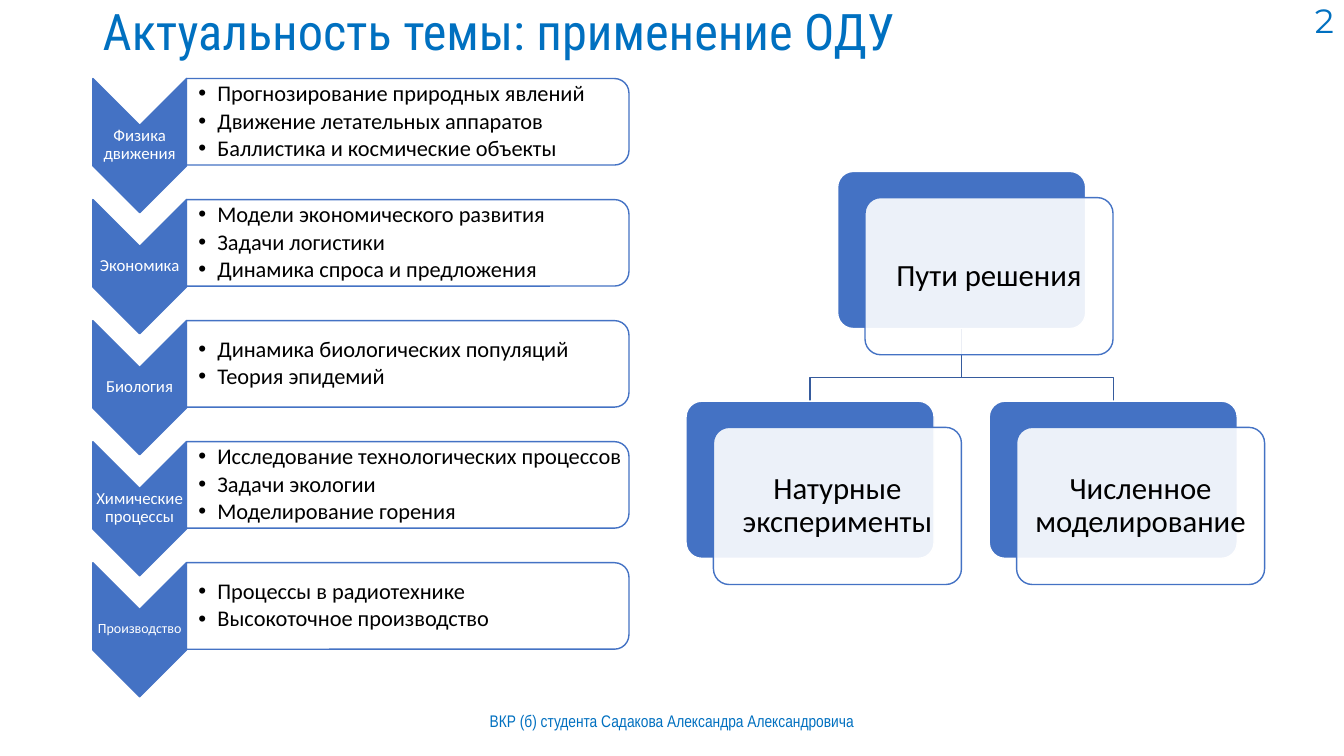
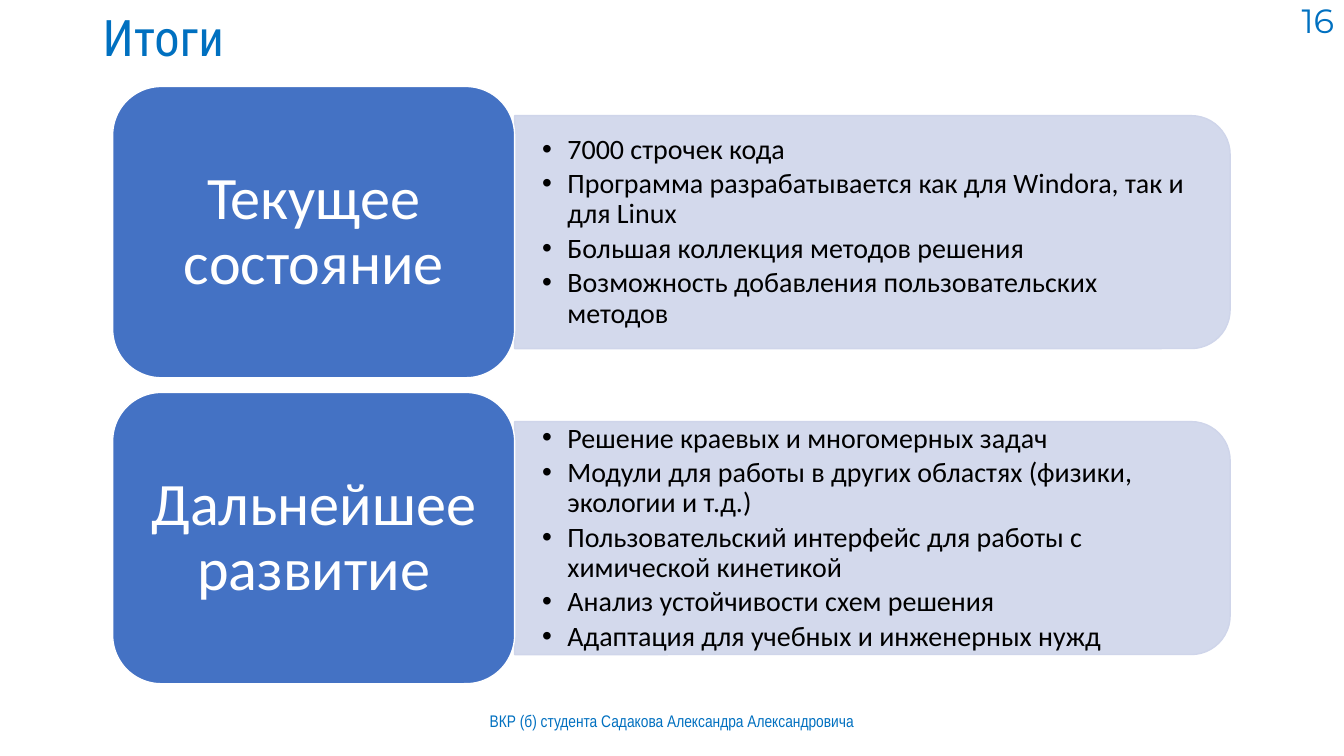
from lxml import etree
from pptx import Presentation
from pptx.dml.color import RGBColor
from pptx.enum import shapes, text
from pptx.oxml.ns import qn
from pptx.util import Cm, Pt

# Shared look
INK = RGBColor(0x00, 0x70, 0xC0)
BLUE = RGBColor(0x44, 0x72, 0xC4)
NAVY = RGBColor(0x36, 0x5B, 0x9D)
PALE = RGBColor(0xCF, 0xD5, 0xEA)
WHITE = RGBColor(0xFF, 0xFF, 0xFF)
BLACK = RGBColor(0x00, 0x00, 0x00)
BODY, HEAD, NUM, FOOT = "Calibri", "Roboto Condensed", "Montserrat", "Arial Narrow"
KIND = shapes.MSO_SHAPE
LEFT, MID, RIGHT = text.PP_ALIGN.LEFT, text.PP_ALIGN.CENTER, text.PP_ALIGN.RIGHT

# Content
FOOTER = "ВКР (б) студента Садакова Александра Александровича"
FIELDS = [
    ("Физика движения", 12, ["Прогнозирование природных явлений",
                             "Движение летательных аппаратов",
                             "Баллистика и космические объекты"]),
    ("Экономика", 12, ["Модели экономического развития",
                       "Задачи логистики",
                       "Динамика спроса и предложения"]),
    ("Биология", 12, ["Динамика биологических популяций",
                      "Теория эпидемий"]),
    ("Химические процессы", 12, ["Исследование технологических процессов",
                                 "Задачи экологии",
                                 "Моделирование горения"]),
    ("Производство", 10, ["Процессы в радиотехнике",
                          "Высокоточное производство"]),
]
ROOT = "Пути решения"
LEAVES = ["Натурные эксперименты", "Численное моделирование"]
RESULTS = [
    ("Текущее состояние", [
        "7000 строчек кода",
        "Программа разрабатывается как для Windora, так и для Linux",
        "Большая коллекция методов решения",
        "Возможность добавления пользовательских методов"]),
    ("Дальнейшее развитие", [
        "Решение краевых и многомерных задач",
        "Модули для работы в других областях (физики, экологии и т.д.)",
        "Пользовательский интерфейс для работы с химической кинетикой",
        "Анализ устойчивости схем решения",
        "Адаптация для учебных и инженерных нужд"]),
]


def write(shape, lines, size, color, font=BODY, align=MID, pad=(0.25, 0.13),
          lead=0.9, dent=None):
    """Fill a shape with paragraphs; dent (cm) turns them into bullets."""
    frame = shape.text_frame
    frame.word_wrap = True
    frame.vertical_anchor = text.MSO_ANCHOR.MIDDLE
    frame.margin_left, frame.margin_right = Cm(pad[0]), Cm(pad[-2])
    frame.margin_top = frame.margin_bottom = Cm(pad[-1])
    frame.text = "\n".join(lines)
    for para in frame.paragraphs:
        para.alignment, para.line_spacing = align, lead
        if dent:
            para.space_after = Pt(size * 0.15)
            props = para._p.get_or_add_pPr()
            props.set("marL", str(Cm(dent)))
            props.set("indent", str(-Cm(dent)))
            etree.SubElement(props, qn("a:buFont")).set("typeface", "Arial")
            etree.SubElement(props, qn("a:buChar")).set("char", "•")
        para.font.size, para.font.name = Pt(size), font
        para.font.color.rgb = color


def label(slide, box, lines, size, color, **style):
    area = slide.shapes.add_textbox(*map(Cm, box))
    write(area, lines, size, color, **style)


def block(slide, kind, box, fill, line, alpha=None, turn=False):
    """Draw a shape in its visible box; turn rotates it a quarter."""
    x, y, w, h = box
    if turn:
        x, y, w, h = x + (w - h) / 2, y + (h - w) / 2, h, w
    shape = slide.shapes.add_shape(kind, Cm(x), Cm(y), Cm(w), Cm(h))
    shape.rotation = 90 if turn else 0
    shape.shadow.inherit = False
    shape.fill.solid()
    shape.fill.fore_color.rgb = fill
    if alpha:
        tint = next(shape.element.spPr.iter(qn("a:srgbClr")))
        etree.SubElement(tint, qn("a:alpha")).set("val", str(alpha * 1000))
    shape.line.color.rgb = line
    shape.line.width = Pt(1)
    return shape


def start(deck, title, num, top, high):
    """Add a slide with title, footer and number."""
    slide = deck.slides.add_slide(deck.slide_layouts[6])
    label(slide, (2.34, top, 29.21, high), [title], 36, INK, font=HEAD, align=LEFT)
    label(slide, (11.22, 17.65, 11.43, 1.02), [FOOTER], 12, INK, font=FOOT, lead=1)
    label(slide, (26.25, 0, 7.62, 1.02), [num], 24, INK, font=NUM, align=RIGHT, lead=1)
    return slide


def fields(slide):
    x, top, step, wide, body = 2.34, 1.98, 3.05, 2.36, 11.15
    for i, (name, size, items) in enumerate(FIELDS):
        y = top + i * step
        block(slide, KIND.CHEVRON, (x, y, wide, 3.38), BLUE, BLUE, turn=True)
        label(slide, (x, y + 1.17, wide, 1.02), [name], size, WHITE, pad=(0.03, 0.03))
        block(slide, KIND.ROUND_2_SAME_RECTANGLE, (x + wide, y, body, 2.18),
              WHITE, BLUE, alpha=90, turn=True)
        label(slide, (x + wide, y + 0.1, body - 0.1, 1.98), items, 16, BLACK,
              align=LEFT, pad=(0.3, 0.03, 0.03), dent=0.48)


def tree(slide):
    w, h, x, y, low, side = 6.25, 3.96, 21.11, 4.32, 10.11, 3.82
    spots = [(x - side, low), (x + side, low)]
    # Branches
    mid, base, bend = x + w / 2 + 0.0, y + h, 9.52
    mid += 0.0 if not spots else 0.0
    for left, top in spots:
        end = left + w / 2
        pen = slide.shapes.build_freeform(Cm(mid), Cm(base))
        pen.add_line_segments([(Cm(mid), Cm(bend)), (Cm(end), Cm(bend)),
                               (Cm(end), Cm(top))], close=False)
        branch = pen.convert_to_shape()
        branch.shadow.inherit = False
        branch.fill.background()
        branch.line.color.rgb = NAVY
        branch.line.width = Pt(1)
    # Cards
    for (left, top), name in zip([(x, y)] + spots, [ROOT] + LEAVES):
        back = block(slide, KIND.ROUNDED_RECTANGLE, (left, top, w, h), BLUE, WHITE)
        card = block(slide, KIND.ROUNDED_RECTANGLE,
                     (left + 0.69, top + 0.66, w, h), WHITE, BLUE, alpha=90)
        back.adjustments[0] = card.adjustments[0] = 0.1
        write(card, [name], 22, BLACK, pad=(0.23, 0.23))


def results(slide):
    x, top, step, w, h, body, high = 2.84, 2.18, 7.71, 10.13, 7.34, 18.03, 5.87
    for i, (name, items) in enumerate(RESULTS):
        y = top + i * step
        inner = y + (h - high) / 2
        block(slide, KIND.ROUND_2_SAME_RECTANGLE, (x + w, inner, body, high),
              PALE, PALE, alpha=90, turn=True)
        label(slide, (x + w, inner + 0.28, body - 0.3, high - 0.56), items, 20,
              BLACK, align=LEFT, pad=(0.69, 0.36), dent=0.64)
        tile = block(slide, KIND.ROUNDED_RECTANGLE, (x, y, w, h), BLUE, WHITE)
        write(tile, [name], 43, WHITE, pad=(0.46, 0.23))


def main():
    deck = Presentation()
    deck.slide_width, deck.slide_height = Cm(33.87), Cm(19.05)
    uses = start(deck, "Актуальность темы: применение ОДУ", "2", 0, 1.75)
    fields(uses)
    tree(uses)
    results(start(deck, "Итоги", "16", 0.25, 1.53))
    deck.save("out.pptx")


if __name__ == "__main__":
    main()
